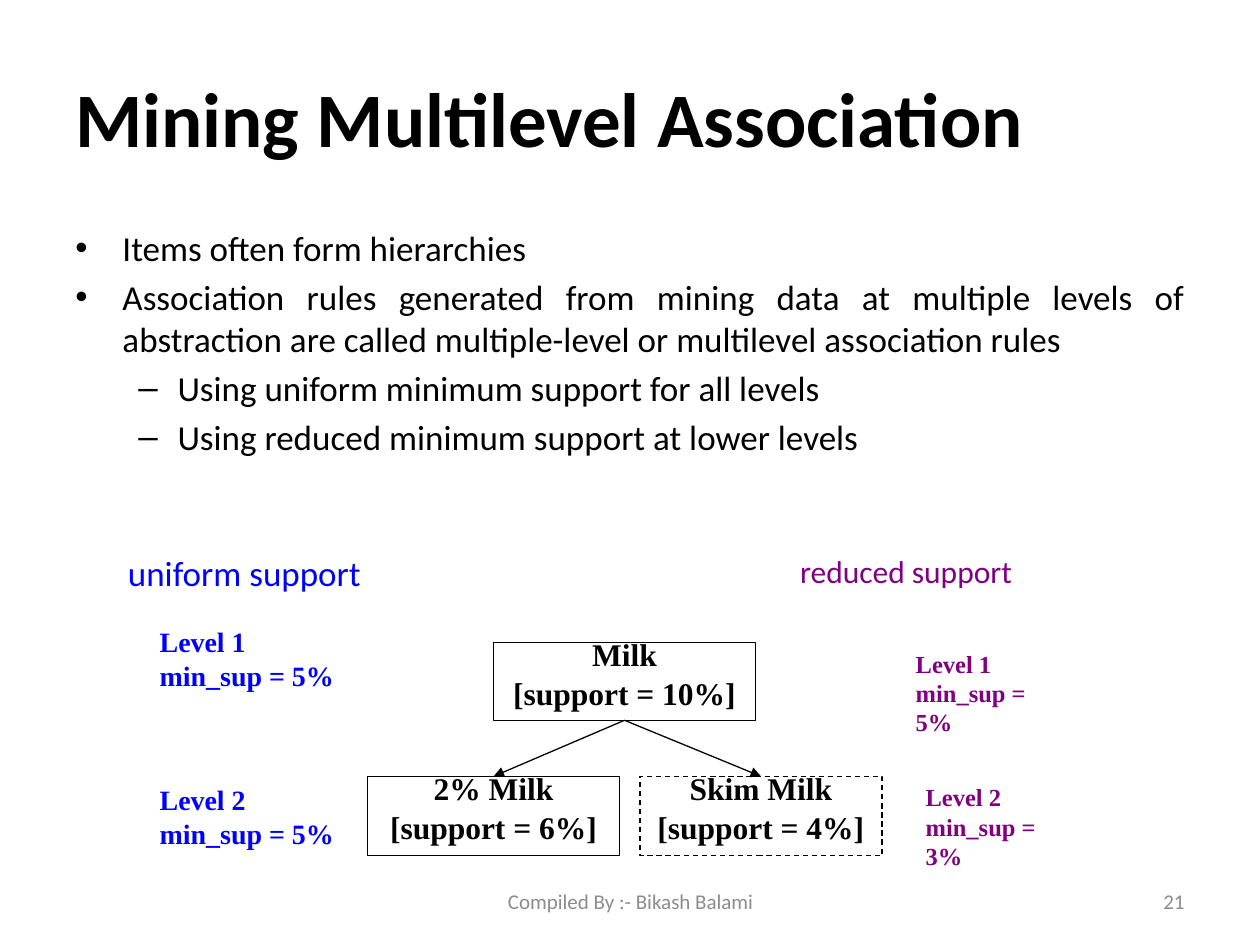
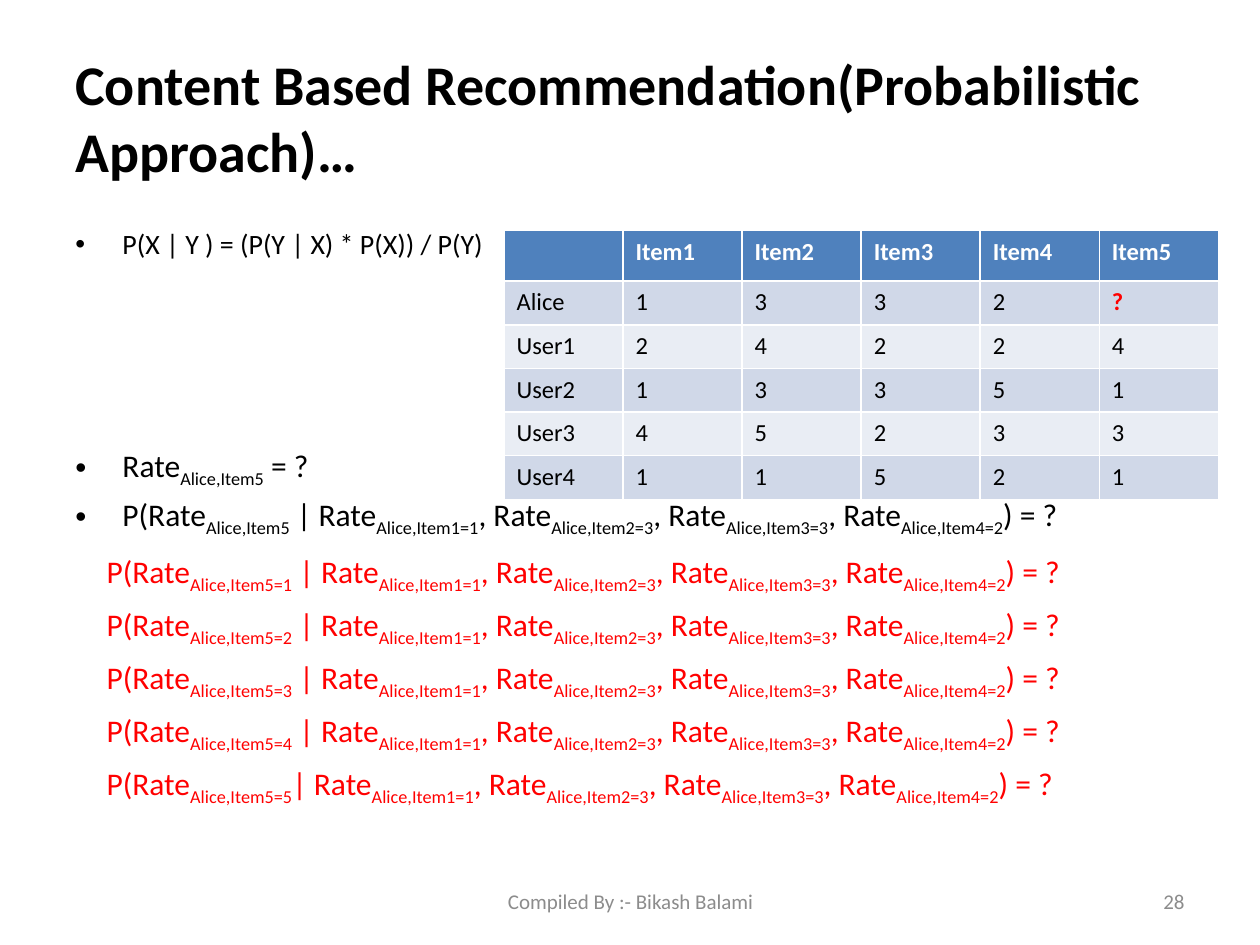
from collections import namedtuple

from lxml import etree
from pptx import Presentation
from pptx.dml.color import RGBColor
from pptx.enum.dml import MSO_LINE_DASH_STYLE as Dash
from pptx.enum.shapes import MSO_CONNECTOR as Connector, MSO_SHAPE as Preset
from pptx.enum.text import MSO_ANCHOR as Anchor, PP_ALIGN as Align
from pptx.oxml.ns import qn
from pptx.util import Cm, Pt

BLACK = RGBColor(0x00, 0x00, 0x00)
WHITE = RGBColor(0xFF, 0xFF, 0xFF)
GREY = RGBColor(0x8C, 0x8C, 0x8C)
RED = RGBColor(0xFF, 0x00, 0x00)
BLUE = RGBColor(0x00, 0x00, 0xFF)
PURPLE = RGBColor(0x80, 0x00, 0x80)
HEADER_FILL = RGBColor(0x4F, 0x81, 0xBD)
BAND_FILLS = (RGBColor(0xD0, 0xD8, 0xE8), RGBColor(0xE9, 0xED, 0xF4))

SANS, SERIF = "Calibri", "Times New Roman"
BULLETS = {0: ("•", 0.95, -0.95), 1: ("–", 2.06, -0.79)}

Box = namedtuple("Box", "left top width height")
TITLE = Box(1.27, 0.76, 22.86, 3.18)
BODY = Box(1.27, 4.45, 22.86, 12.57)
FOOTER = Box(8.69, 17.65, 8.05, 1.02)
PAGE_NUMBER = Box(18.21, 17.65, 5.92, 1.02)
HIERARCHY = Box(2.33, 11, 20.15, 6.25)
RATINGS = Box(10.16, 4.65, 14.4, 5.28)
QUESTIONS = Box(1.9, 11, 21.54, 5.29)

KNOWN_RATES = " | Rate~Alice,Item1=1~, Rate~Alice,Item2=3~, Rate~Alice,Item3=3~, Rate~Alice,Item4=2~) = ?"


def apply(target, values):
    for name, value in values.items():
        setattr(target, name, value)


def inside(box, left, top, width, height):
    return Box(box.left + left, box.top + top, width, height)


def lengths(box):
    return [Cm(value) for value in box]


def write(paragraph, text, size, color=BLACK, bold=False, font=SANS, **layout):
    apply(paragraph, layout)
    for index, part in enumerate(text.split("~")):
        run = paragraph.add_run()
        run.text = part
        apply(run.font, {"name": font, "size": Pt(size), "bold": bold})
        run.font.color.rgb = color
        if index % 2:
            run._r.get_or_add_rPr().set("baseline", "-25000")


def fill_frame(frame, lines, size, **style):
    for index, line in enumerate(lines):
        paragraph = frame.paragraphs[0] if index == 0 else frame.add_paragraph()
        write(paragraph, line, size, **style)


def add_text(slide, box, lines, size, anchor=Anchor.TOP, wrap=True, **style):
    frame = slide.shapes.add_textbox(*lengths(box)).text_frame
    apply(frame, {"word_wrap": wrap, "vertical_anchor": anchor})
    fill_frame(frame, lines, size, **style)


def set_bullet(paragraph, level):
    character, margin, indent = BULLETS[level]
    paragraph.level = level
    properties = paragraph._p.get_or_add_pPr()
    properties.set("marL", str(Cm(margin)))
    properties.set("indent", str(Cm(indent)))
    font = etree.SubElement(properties, qn("a:buFont"))
    font.set("typeface", "Arial")
    etree.SubElement(properties, qn("a:buChar")).set("char", character)


def add_bullets(slide, box, items, alignment):
    frame = slide.shapes.add_textbox(*lengths(box)).text_frame
    frame.word_wrap = True
    for index, (text, level, size, space) in enumerate(items):
        paragraph = frame.paragraphs[0] if index == 0 else frame.add_paragraph()
        write(paragraph, text, size, alignment=alignment, space_before=Pt(space))
        set_bullet(paragraph, level)


def add_frame(presentation, title, title_size, number):
    slide = presentation.slides.add_slide(presentation.slide_layouts[6])
    add_text(slide, TITLE, [title], title_size, Anchor.MIDDLE, bold=True)
    add_text(slide, FOOTER, ["Compiled By :- Bikash Balami"], 12, Anchor.MIDDLE,
             color=GREY, alignment=Align.CENTER)
    add_text(slide, PAGE_NUMBER, [str(number)], 12, Anchor.MIDDLE,
             color=GREY, alignment=Align.RIGHT)
    return slide


def add_node(slide, box, lines, dashed=False):
    node = slide.shapes.add_shape(Preset.RECTANGLE, *lengths(box))
    node.shadow.inherit = False
    node.fill.solid()
    node.fill.fore_color.rgb = WHITE
    node.line.color.rgb = BLACK
    node.line.width = Pt(0.75)
    if dashed:
        node.line.dash_style = Dash.DASH
        color = node._element.spPr.find(qn("a:solidFill"))[0]
        etree.SubElement(color, qn("a:alpha")).set("val", "50000")
    apply(node.text_frame, {"vertical_anchor": Anchor.TOP, "word_wrap": True})
    fill_frame(node.text_frame, lines, 18, bold=True, font=SERIF,
               alignment=Align.CENTER, line_spacing=0.6, space_before=Pt(9))
    return node


def add_arrow(slide, parent, child):
    arrow = slide.shapes.add_connector(Connector.STRAIGHT, 0, 0, 0, 0)
    arrow.begin_connect(parent, 2)
    arrow.end_connect(child, 0)
    arrow.line.color.rgb = BLACK
    arrow.line.width = Pt(0.75)
    etree.SubElement(arrow.line._get_or_add_ln(), qn("a:tailEnd")).set("type", "triangle")
    etree.SubElement(arrow._element.spPr, qn("a:effectLst"))


def add_hierarchy(slide, box):
    level_tops = (1.95, 4.65)
    add_text(slide, inside(box, 0, 0, 6.78, 1.47), ["uniform support"], 20, color=BLUE)
    add_text(slide, inside(box, 13.55, 0, 6.6, 1.27), ["reduced support"], 18, color=PURPLE)

    milk = add_node(slide, inside(box, 7.62, level_tops[0], 5.28, 1.57),
                    ["Milk", "[support = 10%]"])
    whole = add_node(slide, inside(box, 5.08, level_tops[1], 5.08, 1.6),
                     ["2% Milk", "[support = 6%]"])
    skim = add_node(slide, inside(box, 10.57, level_tops[1], 4.88, 1.6),
                    ["Skim Milk", "[support = 4%]"], dashed=True)
    for child in (whole, skim):
        add_arrow(slide, milk, child)

    thresholds = (
        (0.64, 1.47, 4.04, 1, 5, 16, BLUE),
        (0.64, level_tops[1], 4.04, 2, 5, 16, BLUE),
        (15.88, level_tops[0], 3.58, 1, 5, 14, PURPLE),
        (16.08, level_tops[1], 3.58, 2, 3, 14, PURPLE),
    )
    for left, top, width, level, support, size, color in thresholds:
        add_text(slide, inside(box, left, top, width, 1.6),
                 [f"Level {level}", f"min_sup = {support}%"], size,
                 wrap=False, color=color, bold=True, font=SERIF)


def add_ratings(slide, box):
    rows = (
        ("", "Item1", "Item2", "Item3", "Item4", "Item5"),
        ("Alice", "1", "3", "3", "2", "?"),
        ("User1", "2", "4", "2", "2", "4"),
        ("User2", "1", "3", "3", "5", "1"),
        ("User3", "4", "5", "2", "3", "3"),
        ("User4", "1", "1", "5", "2", "1"),
    )
    table = slide.shapes.add_table(len(rows), len(rows[0]), *lengths(box)).table
    for row_index, row in enumerate(rows):
        is_header = row_index == 0
        fill = HEADER_FILL if is_header else BAND_FILLS[(row_index - 1) % 2]
        for column_index, text in enumerate(row):
            cell = table.cell(row_index, column_index)
            cell.fill.solid()
            cell.fill.fore_color.rgb = fill
            unknown = text == "?"
            color = WHITE if is_header else RED if unknown else BLACK
            if text:
                write(cell.text_frame.paragraphs[0], text, 14, color, is_header or unknown)


def add_questions(slide, box):
    count = 5
    height = 1.02
    step = (box.height - height) / (count - 1)
    for index in range(count):
        known = KNOWN_RATES.lstrip() if index == count - 1 else KNOWN_RATES
        add_text(slide, inside(box, 0, index * step, box.width, height),
                 [f"P(Rate~Alice,Item5={index + 1}~{known}"], 18, color=RED)


def build_multilevel_slide(presentation):
    slide = add_frame(presentation, "Mining Multilevel Association", 44, 21)
    add_bullets(slide, BODY, (
        ("Items often form hierarchies", 0, 20, 4),
        ("Association rules generated from mining data at multiple levels of abstraction "
         "are called multiple-level or multilevel association rules", 0, 20, 4),
        ("Using uniform minimum support for all levels", 1, 20, 4),
        ("Using reduced minimum support at lower levels", 1, 20, 4),
    ), Align.JUSTIFY)
    add_hierarchy(slide, HIERARCHY)


def build_recommendation_slide(presentation):
    slide = add_frame(presentation,
                      "Content Based Recommendation(Probabilistic Approach)…", 32, 28)
    add_bullets(slide, BODY, (
        ("P(X | Y ) = (P(Y | X) * P(X)) / P(Y)", 0, 16, 3),
        ("Rate~Alice,Item5~ = ?", 0, 18, 106),
        ("P(Rate~Alice,Item5~" + KNOWN_RATES, 0, 18, 3.6),
    ), Align.LEFT)
    add_ratings(slide, RATINGS)
    add_questions(slide, QUESTIONS)


def main():
    presentation = Presentation()
    presentation.slide_width, presentation.slide_height = Cm(25.4), Cm(19.05)
    build_multilevel_slide(presentation)
    build_recommendation_slide(presentation)
    presentation.save("out.pptx")


if __name__ == "__main__":
    main()
